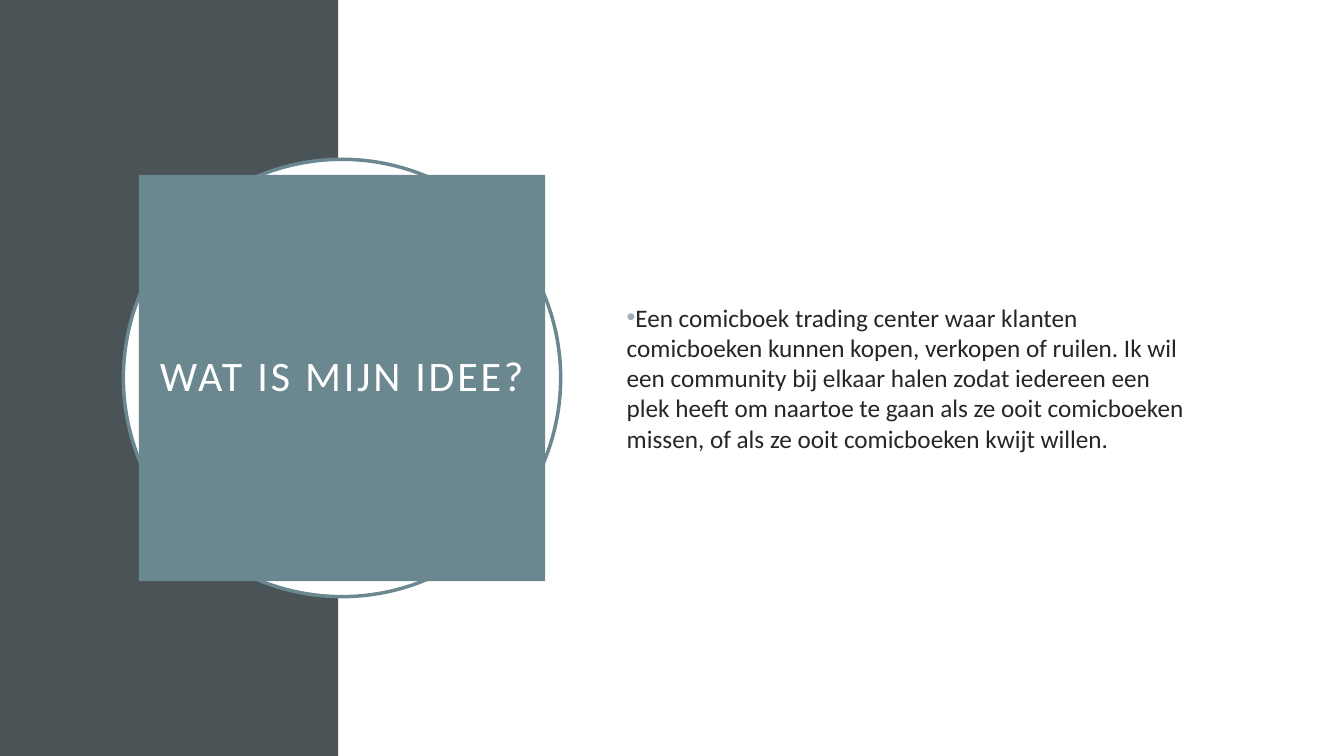
from dataclasses import dataclass

from lxml.etree import SubElement
from pptx import Presentation
from pptx.dml.color import RGBColor
from pptx.enum.shapes import MSO_SHAPE as Shape
from pptx.enum.text import MSO_ANCHOR as Anchor, MSO_AUTO_SIZE as AutoSize, PP_ALIGN as Align
from pptx.oxml.ns import qn
from pptx.slide import Slide
from pptx.util import Cm, Pt

SLATE = RGBColor(0x4A, 0x53, 0x56)
TEAL = RGBColor(0x6B, 0x88, 0x91)
PALE_TEAL = RGBColor(0x9B, 0xAF, 0xB5)
INK = RGBColor(0x26, 0x26, 0x26)
WHITE = RGBColor(0xFF, 0xFF, 0xFF)

FONT = "Calibri"
WIDTH, HEIGHT = 33.87, 19.05
BAND_WIDTH = 8.53
CENTRE_X, CENTRE_Y = 8.62, HEIGHT / 2

QUESTION = "WAT IS MIJN IDEE?"
IDEA = (
    "Een comicboek trading center waar klanten comicboeken kunnen kopen, "
    "verkopen of ruilen. Ik wil een community bij elkaar halen zodat iedereen "
    "een plek heeft om naartoe te gaan als ze ooit comicboeken missen, of als "
    "ze ooit comicboeken kwijt willen."
)


@dataclass(frozen=True)
class Box:
    left: float
    top: float
    width: float
    height: float

    def lengths(self) -> tuple[Cm, Cm, Cm, Cm]:
        return Cm(self.left), Cm(self.top), Cm(self.width), Cm(self.height)


@dataclass(frozen=True)
class Panel:
    kind: Shape
    box: Box
    fill: RGBColor
    outline: RGBColor | None = None


def centred_square(side: float) -> Box:
    return Box(CENTRE_X - side / 2, CENTRE_Y - side / 2, side, side)


PANELS = (
    Panel(Shape.RECTANGLE, Box(0, 0, BAND_WIDTH, HEIGHT), SLATE),
    Panel(Shape.RECTANGLE, Box(BAND_WIDTH, 0, WIDTH - BAND_WIDTH, HEIGHT), WHITE),
    Panel(Shape.OVAL, centred_square(11.02), WHITE, TEAL),
)


def draw_panel(slide: Slide, panel: Panel) -> None:
    backdrop = slide.shapes.add_shape(panel.kind, *panel.box.lengths())
    backdrop.shadow.inherit = False
    backdrop.fill.solid()
    backdrop.fill.fore_color.rgb = panel.fill
    if panel.outline is None:
        backdrop.line.fill.background()
    else:
        backdrop.line.color.rgb = panel.outline
        backdrop.line.width = Pt(2.5)


def write_placeholder(holder, box: Box, text: str, size: float, color: RGBColor):
    holder.left, holder.top, holder.width, holder.height = box.lengths()
    frame = holder.text_frame
    frame.text = text
    frame.word_wrap = True
    frame.auto_size = AutoSize.NONE
    frame.vertical_anchor = Anchor.MIDDLE
    paragraph = frame.paragraphs[0]
    paragraph.font.name = FONT
    paragraph.font.size = Pt(size)
    paragraph.font.color.rgb = color
    return paragraph


def write_question(slide: Slide) -> None:
    question = slide.shapes.title
    line = write_placeholder(question, centred_square(10.24), QUESTION, 30, WHITE)
    line.alignment = Align.CENTER
    line.line_spacing = 0.9
    line.runs[0].font._element.set("spc", "200")
    question.fill.solid()
    question.fill.fore_color.rgb = TEAL
    frame = question.text_frame
    frame.margin_left = frame.margin_right = Cm(0.51)
    frame.margin_top = frame.margin_bottom = Cm(0.51)


def write_idea(slide: Slide) -> None:
    idea = slide.placeholders[1]
    line = write_placeholder(idea, Box(15.54, 3.89, 14.78, 11.25), IDEA, 18, INK)
    line.alignment = Align.LEFT
    line.space_before = Pt(10)
    properties = line._p.get_or_add_pPr()
    properties.set("marL", "0")
    properties.set("indent", str(-Cm(0.64)))
    bullet_color = SubElement(properties, qn("a:buClr"))
    SubElement(bullet_color, qn("a:srgbClr"), val=str(PALE_TEAL))
    SubElement(properties, qn("a:buFont"), typeface="Arial")
    SubElement(properties, qn("a:buChar"), char="•")
    properties.append(properties.find(qn("a:defRPr")))


def main() -> None:
    deck = Presentation()
    deck.slide_width, deck.slide_height = Cm(WIDTH), Cm(HEIGHT)
    slide = deck.slides.add_slide(deck.slide_layouts[1])
    placeholders = list(slide.placeholders)
    for panel in PANELS:
        draw_panel(slide, panel)
    for holder in placeholders:
        slide.shapes.element.append(holder.element)
    write_question(slide)
    write_idea(slide)
    deck.save("out.pptx")


if __name__ == "__main__":
    main()
